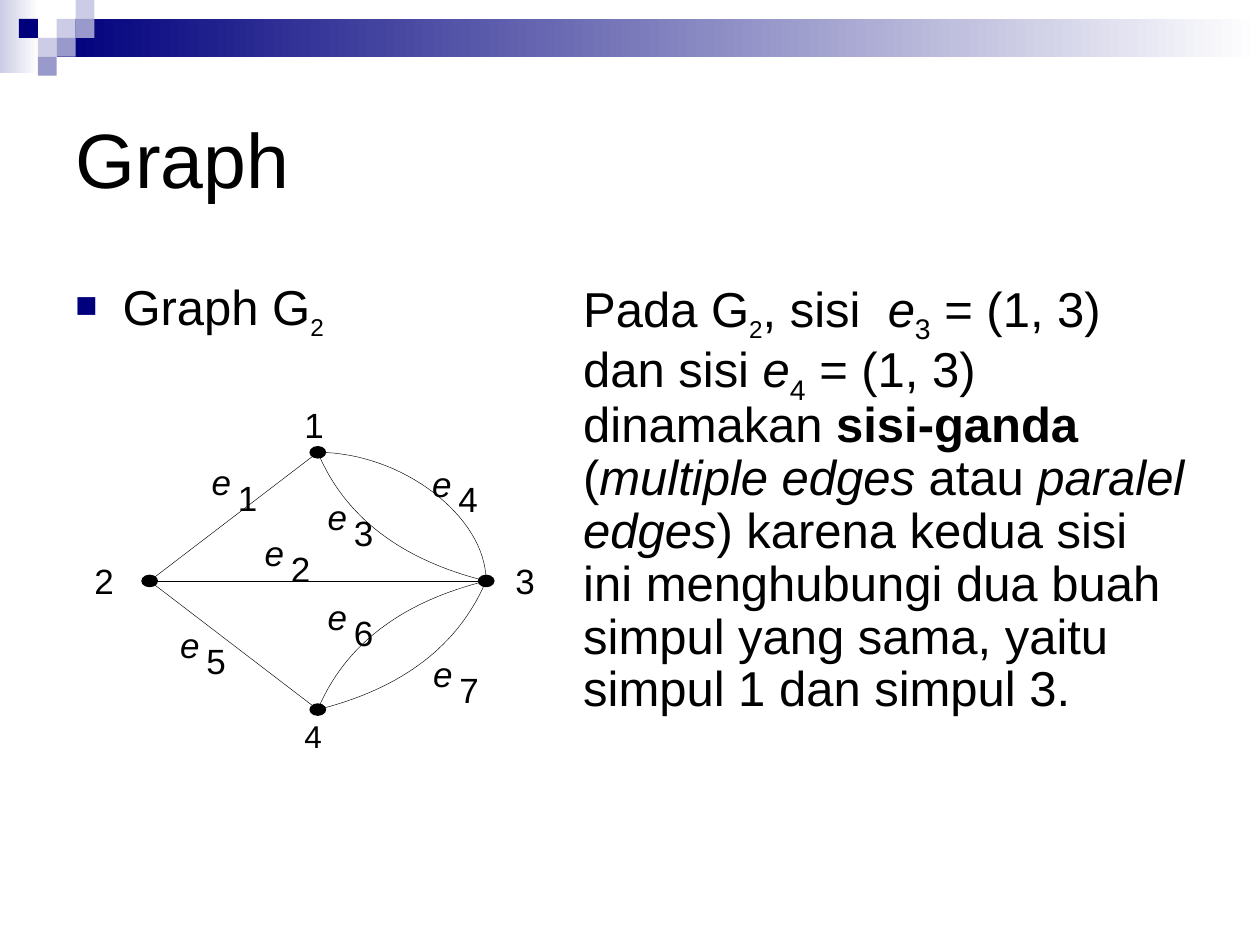
from lxml.etree import SubElement
from pptx import Presentation
from pptx.dml.color import RGBColor
from pptx.enum.shapes import MSO_CONNECTOR, MSO_SHAPE
from pptx.enum.text import MSO_ANCHOR, MSO_AUTO_SIZE
from pptx.oxml.ns import qn
from pptx.util import Pt

BLACK = RGBColor(0, 0, 0)
WHITE = RGBColor(255, 255, 255)
NAVY = RGBColor(0x00, 0x00, 0x7D)
LILAC = RGBColor(0xCC, 0xCC, 0xE6)
VIOLET = RGBColor(0x99, 0x99, 0xCC)

TILE = 10.8
TILES = [(3, 1, LILAC), (4, 0, LILAC), (4, 1, VIOLET), (2, 2, LILAC),
         (1, 1, NAVY), (3, 2, VIOLET), (2, 3, VIOLET)]  # column, row, colour

VERTICES = {"1": (181.6, 258.5), "2": (85.5, 332), "3": (277.8, 332), "4": (181.6, 405.5)}
STRAIGHT_EDGES = ["24", "12", "23"]
CURVED_EDGES = [  # ends, control points between them
    ("13", [(205, 314)]),
    ("34", [(205, 350)]),
    ("13", [(229.7, 258.5), (277.8, 295.2)]),
    ("34", [(254, 387.5)]),
]
VERTEX_LABELS = [("1", 174, 230.4, 20), ("2", 54, 319.7, 20),
                 ("3", 294.5, 319.7, 20), ("4", 174, 409.7, 18)]
EDGE_LABELS = [("1", 121, 263), ("2", 151.2, 303.6), ("3", 187.2, 283), ("4", 247, 264),
               ("5", 103, 356.5), ("6", 187.2, 340.3), ("7", 247.5, 373)]

ITALIC = {"italic": True}
BOLD = {"bold": True}
SUB = {"subscript": True}
SMALL_SUB = {"subscript": True, "size": Pt(24)}


def add_block(s, shape, x, y, w, h, color, fade_to=None):
    sp = s.shapes.add_shape(shape, Pt(x), Pt(y), Pt(w), Pt(h))
    sp.shadow.inherit = False
    sp.line.fill.background()
    if fade_to is None:
        sp.fill.solid()
        sp.fill.fore_color.rgb = color
    else:
        sp.fill.gradient()
        sp.fill.gradient_angle = 0
        for stop, rgb in zip(sp.fill.gradient_stops, (color, fade_to)):
            stop.color.rgb = rgb


def add_text(s, x, y, w, h, runs, size, **frame):
    """Add a one-paragraph text box; runs are (text, font formats) pairs."""
    tf = s.shapes.add_textbox(Pt(x), Pt(y), Pt(w), Pt(h)).text_frame
    settings = {"word_wrap": True, "auto_size": MSO_AUTO_SIZE.NONE, **frame}
    for name, value in settings.items():
        setattr(tf, name, value)
    p = tf.paragraphs[0]
    for text, formats in runs:
        r = p.add_run()
        r.text = text
        r.font.color.rgb = BLACK
        for name, value in {"name": "Arial", "size": Pt(size), **formats}.items():
            if name == "subscript":
                r._r.get_or_add_rPr().set("baseline", "-25000")
            else:
                setattr(r.font, name, value)
    return p


def add_label(s, text, x, y, size=20, **formats):
    margins = {f"margin_{side}": 0 for side in ("left", "top", "right", "bottom")}
    add_text(s, x, y, 11, size * 1.2, [(text, formats)], size, word_wrap=False, **margins)


def add_body(s, x, w, runs):
    p = add_text(s, x, 156.2, w, 306, runs, 28)
    p.line_spacing = 0.9
    p.space_before = Pt(5.6)
    return p


def add_bullet(p):
    pPr = p._p.get_or_add_pPr()
    pPr.set("marL", str(Pt(27)))
    pPr.set("indent", str(-Pt(27)))
    color = SubElement(pPr, qn("a:buClr"))
    SubElement(color, qn("a:srgbClr"), val=str(NAVY))
    SubElement(pPr, qn("a:buSzPct"), val="75000")
    SubElement(pPr, qn("a:buFont"), typeface="Arial")
    SubElement(pPr, qn("a:buChar"), char="■")


def style_edge(sp):
    sp.line.color.rgb = BLACK
    sp.line.width = Pt(0.25)


def add_straight_edge(s, ends):
    (x1, y1), (x2, y2) = (VERTICES[v] for v in ends)
    c = s.shapes.add_connector(MSO_CONNECTOR.STRAIGHT, Pt(x1), Pt(y1), Pt(x2), Pt(y2))
    style_edge(c)
    SubElement(c._element.spPr, qn("a:effectLst"))


def bezier_point(points, t):
    while len(points) > 1:
        points = [(x1 + (x2 - x1) * t, y1 + (y2 - y1) * t)
                  for (x1, y1), (x2, y2) in zip(points, points[1:])]
    return points[0]


def add_curved_edge(s, ends, controls, steps=32):
    start, end = (VERTICES[v] for v in ends)
    curve = [bezier_point([start, *controls, end], i / steps) for i in range(steps + 1)]
    points = [(Pt(x), Pt(y)) for x, y in curve]
    fb = s.shapes.build_freeform(*points[0])
    fb.add_line_segments(points[1:], close=False)
    sp = fb.convert_to_shape()
    sp.shadow.inherit = False
    sp.fill.background()
    style_edge(sp)


def add_header(s):
    add_block(s, MSO_SHAPE.RECTANGLE, 0, 0, 22.3, 41.8, LILAC, WHITE)
    add_block(s, MSO_SHAPE.RECTANGLE, 3 * TILE, TILE, 720 - 3 * TILE, 2 * TILE, NAVY, WHITE)
    for col, row, color in TILES:
        add_block(s, MSO_SHAPE.RECTANGLE, col * TILE, row * TILE, TILE, TILE, color)


def add_graph(s):
    for x, y in VERTICES.values():
        add_block(s, MSO_SHAPE.OVAL, x - 4.8, y - 3.6, 9.6, 7.2, BLACK)
    for ends in STRAIGHT_EDGES:
        add_straight_edge(s, ends)
    for ends, controls in CURVED_EDGES:
        add_curved_edge(s, ends, controls)
    for text, x, y, size in VERTEX_LABELS:
        add_label(s, text, x, y, size)
    for number, x, y in EDGE_LABELS:
        add_label(s, "e", x, y, italic=True)
        add_label(s, number, x + 15, y + 9)


def main():
    prs = Presentation()
    prs.slide_width, prs.slide_height = Pt(720), Pt(540)
    s = prs.slides.add_slide(prs.slide_layouts[6])
    add_header(s)
    add_text(s, 36, 36, 648, 108, [("Graph", {})], 44, vertical_anchor=MSO_ANCHOR.MIDDLE)
    add_bullet(add_body(s, 36, 318, [("Graph G", {}), ("2", SMALL_SUB)]))
    add_body(s, 326.2, 357.8, [
        ("Pada G", {}), ("2", SMALL_SUB), (", sisi  ", {}),
        ("e", ITALIC), ("3", SUB), (" = (1, 3) dan sisi ", {}),
        ("e", ITALIC), ("4", SUB), (" = (1, 3) dinamakan ", {}),
        ("sisi-ganda", BOLD), (" (", {}), ("multiple edges", ITALIC),
        (" atau ", {}), ("paralel edges", ITALIC),
        (") karena kedua sisi ini menghubungi dua buah simpul yang sama, "
         "yaitu simpul 1 dan simpul 3.", {}),
    ])
    add_graph(s)
    prs.save("out.pptx")


if __name__ == "__main__":
    main()
